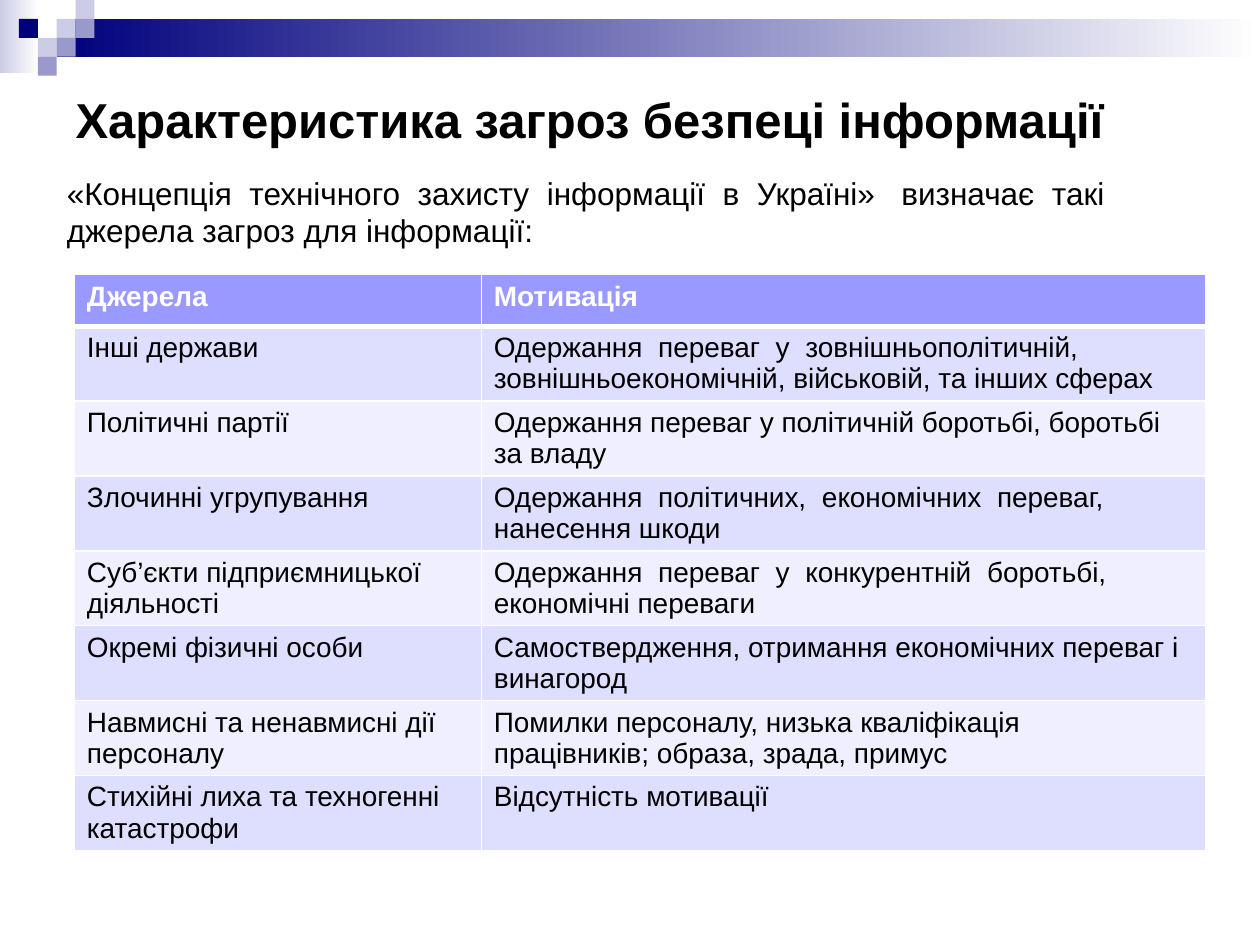
from lxml import etree
from pptx import Presentation
from pptx.dml.color import RGBColor
from pptx.enum.shapes import MSO_SHAPE
from pptx.enum.text import MSO_ANCHOR, MSO_AUTO_SIZE, PP_ALIGN
from pptx.oxml.ns import qn
from pptx.util import Inches, Pt

RECTANGLE = MSO_SHAPE.RECTANGLE
LEFT = PP_ALIGN.LEFT
MIDDLE = MSO_ANCHOR.MIDDLE
TOP = MSO_ANCHOR.TOP
NO_AUTOFIT = MSO_AUTO_SIZE.NONE

BLACK = RGBColor(0x00, 0x00, 0x00)
WHITE = RGBColor(0xFF, 0xFF, 0xFF)
NAVY = RGBColor(0x00, 0x00, 0x7D)
LAVENDER = RGBColor(0xCC, 0xCC, 0xE6)
PERIWINKLE = RGBColor(0x99, 0x99, 0xCC)
HEADER_FILL = RGBColor(0x99, 0x99, 0xFF)
ODD_FILL = RGBColor(0xDE, 0xDE, 0xFF)
EVEN_FILL = RGBColor(0xEF, 0xEF, 0xFF)

FONT = "Arial"
WIDE_GAP = "_"
SPACE_WIDTH = 0.28
SQUARE = 0.15
SQUARES = [
    (3, 1, LAVENDER), (4, 0, LAVENDER), (4, 1, PERIWINKLE), (2, 2, LAVENDER),
    (1, 1, NAVY), (3, 2, PERIWINKLE), (2, 3, PERIWINKLE),
]

TITLE = "Характеристика загроз безпеці інформації"
INTRO = [
    "«Концепція_технічного_захисту_інформації_в_Україні»_ визначає_такі",
    "джерела загроз для інформації:",
]
THREATS = [
    ("Джерела", "Мотивація"),
    ("Інші держави",
     "Одержання_переваг_у_зовнішньополітичній,\n"
     "зовнішньоекономічній, військовій, та інших сферах"),
    ("Політичні партії",
     "Одержання переваг у політичній боротьбі, боротьбі за владу"),
    ("Злочинні угрупування",
     "Одержання_політичних,_економічних_переваг, нанесення шкоди"),
    ("Суб’єкти підприємницької діяльності",
     "Одержання_переваг_у_конкурентній_боротьбі, економічні переваги"),
    ("Окремі фізичні особи",
     "Самоствердження, отримання економічних переваг і винагород"),
    ("Навмисні та ненавмисні дії персоналу",
     "Помилки персоналу, низька кваліфікація\n"
     "працівників; образа, зрада, примус"),
    ("Стихійні лиха та техногенні катастрофи", "Відсутність мотивації"),
]
COLUMN_WIDTHS = [3.23, 5.75]
HEADER_HEIGHT = 0.41
ROW_HEIGHT = 0.59


def add_run(paragraph, text, size, color, bold=False):
    run = paragraph.add_run()
    run.text = text
    run.font.name = FONT
    run.font.size = Pt(size)
    run.font.bold = bold
    run.font.color.rgb = color
    return run


def add_spaced_text(paragraph, text, size, color, bold=False):
    for index, words in enumerate(text.split(WIDE_GAP)):
        if index:
            gap = add_run(paragraph, " ", size, color, bold)
            tracking = round(size * SPACE_WIDTH * 100)
            gap.font._element.set("spc", str(tracking))
        add_run(paragraph, words, size, color, bold)


def add_paragraphs(frame, lines, size, color, bold=False):
    for index, line in enumerate(lines):
        paragraph = frame.add_paragraph() if index else frame.paragraphs[0]
        paragraph.alignment = LEFT
        add_spaced_text(paragraph, line, size, color, bold)


def place(shape, left, top, width, height):
    shape.left, shape.top = Inches(left), Inches(top)
    shape.width, shape.height = Inches(width), Inches(height)


def add_block(slide, left, top, width, height, color, fade=False):
    block = slide.shapes.add_shape(
        RECTANGLE, Inches(left), Inches(top), Inches(width), Inches(height))
    block.shadow.inherit = False
    block.line.fill.background()
    if fade:
        block.fill.gradient()
        block.fill.gradient_angle = 0
        for stop, shade in zip(block.fill.gradient_stops, (color, WHITE)):
            stop.color.rgb = shade
    else:
        block.fill.solid()
        block.fill.fore_color.rgb = color


def add_banner(slide):
    add_block(slide, 0, 0, 0.31, 0.58, LAVENDER, fade=True)
    add_block(slide, 0.45, 0.15, 9.55, 0.3, NAVY, fade=True)
    for column, row, color in SQUARES:
        add_block(slide, column * SQUARE, row * SQUARE, SQUARE, SQUARE, color)


def fill_title(title):
    place(title, 0.5, 0.5, 9, 0.89)
    frame = title.text_frame
    frame.auto_size = NO_AUTOFIT
    frame.vertical_anchor = MIDDLE
    add_paragraphs(frame, [TITLE], 28, BLACK, bold=True)


def fill_intro(body):
    place(body, 0.43, 1.39, 9, 4.87)
    frame = body.text_frame
    frame.auto_size = NO_AUTOFIT
    frame.vertical_anchor = TOP
    add_paragraphs(frame, INTRO, 18, BLACK)
    for paragraph in frame.paragraphs:
        paragraph.line_spacing = 0.8
        paragraph.space_before = Pt(3.6)
        properties = paragraph._p.get_or_add_pPr()
        properties.set("marL", str(Inches(0.38)))
        properties.set("indent", str(Inches(-0.38)))
        etree.SubElement(properties, qn("a:buNone"))


def set_borders(cell, top, bottom):
    properties = cell._tc.get_or_add_tcPr()
    widths = [("a:lnL", 1), ("a:lnR", 1), ("a:lnT", top), ("a:lnB", bottom)]
    for index, (tag, width) in enumerate(widths):
        border = etree.Element(qn(tag), w=str(Pt(width)))
        solid = etree.SubElement(border, qn("a:solidFill"))
        etree.SubElement(solid, qn("a:srgbClr"), val=str(WHITE))
        properties.insert(index, border)


def fill_cell(cell, text, row):
    header = row == 0
    cell.fill.solid()
    if header:
        cell.fill.fore_color.rgb = HEADER_FILL
    else:
        cell.fill.fore_color.rgb = ODD_FILL if row % 2 else EVEN_FILL
    color = WHITE if header else BLACK
    add_paragraphs(cell.text_frame, text.split("\n"), 16, color, header)
    set_borders(cell, top=3 if row == 1 else 1, bottom=3 if header else 1)


def add_threat_table(slide):
    height = HEADER_HEIGHT + ROW_HEIGHT * (len(THREATS) - 1)
    table = slide.shapes.add_table(
        len(THREATS), len(COLUMN_WIDTHS), Inches(0.59), Inches(2.18),
        Inches(sum(COLUMN_WIDTHS)), Inches(height)).table
    for column, width in zip(table.columns, COLUMN_WIDTHS):
        column.width = Inches(width)
    for row, texts in enumerate(THREATS):
        table.rows[row].height = Inches(ROW_HEIGHT if row else HEADER_HEIGHT)
        for column, text in enumerate(texts):
            fill_cell(table.cell(row, column), text, row)


def main():
    presentation = Presentation()
    presentation.slide_width = Inches(10)
    presentation.slide_height = Inches(7.5)
    slide = presentation.slides.add_slide(presentation.slide_layouts[1])
    add_banner(slide)
    fill_title(slide.shapes.title)
    fill_intro(slide.placeholders[1])
    add_threat_table(slide)
    presentation.save("out.pptx")


if __name__ == "__main__":
    main()
